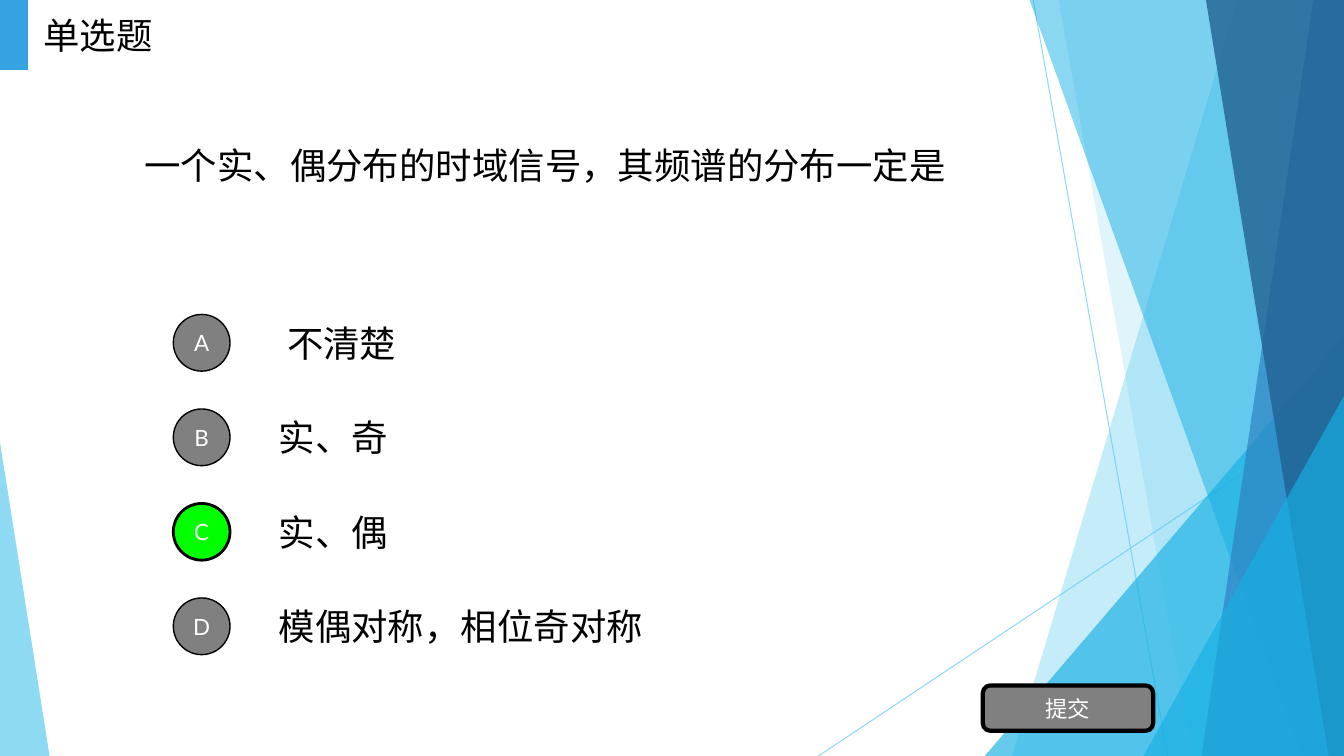
import pptx
import pptx.util
import pptx.dml.color
import pptx.enum.lang
import pptx.enum.shapes
import pptx.enum.text
import pptx.oxml.ns
import lxml.etree

Pt = pptx.util.Pt
RGBColor = pptx.dml.color.RGBColor
SHAPE = pptx.enum.shapes.MSO_SHAPE
ALIGN = pptx.enum.text.PP_ALIGN
qn = pptx.oxml.ns.qn

BLACK = RGBColor(0x00, 0x00, 0x00)
WHITE = RGBColor(0xFF, 0xFF, 0xFF)
GREY = RGBColor(0x80, 0x80, 0x80)
GREEN = RGBColor(0x00, 0xFF, 0x00)
TAG_BLUE = RGBColor(0x36, 0xA3, 0xE1)
SKY = RGBColor(0x5F, 0xCB, 0xEF)
CYAN = RGBColor(0x17, 0xB0, 0xE4)
BLUE = RGBColor(0x2E, 0x83, 0xC3)
NAVY = RGBColor(0x22, 0x62, 0x92)

WIDTH, HEIGHT = 960, 540
QUESTION_TYPE = "单选题"
QUESTION = "一个实、偶分布的时域信号，其频谱的分布一定是"
# letter, answer, left edge of the answer
OPTIONS = [
    ("A", "不清楚", 198),
    ("B", "实、奇", 192),
    ("C", "实、偶", 192),
    ("D", "模偶对称，相位奇对称", 192),
]
CORRECT = "C"
SUBMIT = "提交"

BADGE_LEFT, BADGE_TOP, BADGE_SIZE, OPTION_STEP = 123.8, 224.6, 40.5, 67.5
ANSWER_WIDTH, ANSWER_HEIGHT = 672, 50.6

# x at the top, x at the bottom, colour, opacity; each reaches the right edge
BANDS_BACK = [(884.2, 722.9, SKY, 36), (756.2, 851.8, SKY, 20)]
BANDS_FRONT = [(735.2, 929.7, CYAN, 50), (938.2, 858.2, BLUE, 70), (861.3, 949, NAVY, 80)]
# left, top, width, apex position, colour, opacity; each stands on the bottom edge
TRIANGLE_BACK = (703.4, 240, 256.6, 1, CYAN, 66)
TRIANGLES_FRONT = [(816.7, 282.8, 143.3, 1, CYAN, 66), (0, 316, 35.4, 0, SKY, 70)]
RAYS = [(738, 0, 834, HEIGHT), (WIDTH, 290, 584.6, HEIGHT)]
BAND_TOP = -0.7

presentation = pptx.Presentation()
presentation.slide_width, presentation.slide_height = Pt(WIDTH), Pt(HEIGHT)
slide = presentation.slides.add_slide(presentation.slide_layouts[5])


def set_opacity(fill_owner, percent):
    for colour in fill_owner.iter(qn("a:srgbClr")):
        lxml.etree.SubElement(colour, qn("a:alpha")).set("val", str(percent * 1000))


def paint(shape, colour, outline=0):
    shape.shadow.inherit = False
    shape.fill.solid()
    shape.fill.fore_color.rgb = colour
    if outline:
        shape.line.color.rgb = BLACK
        shape.line.width = Pt(outline)
    else:
        shape.line.fill.background()


def write(shape, text, size=26, colour=BLACK, align=ALIGN.LEFT):
    frame = shape.text_frame
    frame_format = {
        "word_wrap": True,
        "auto_size": pptx.enum.text.MSO_AUTO_SIZE.NONE,
        "vertical_anchor": pptx.enum.text.MSO_ANCHOR.MIDDLE,
    }
    for name, value in frame_format.items():
        setattr(frame, name, value)
    paragraph = frame.paragraphs[0]
    paragraph.alignment = align
    run = paragraph.add_run()
    run.text = text
    font_format = {
        "name": "Lato",
        "size": Pt(size),
        "language_id": pptx.enum.lang.MSO_LANGUAGE_ID.SIMPLIFIED_CHINESE,
    }
    for name, value in font_format.items():
        setattr(run.font, name, value)
    run.font.color.rgb = colour


def add_shape(kind, left, top, width, height, colour, outline=0):
    shape = slide.shapes.add_shape(kind, Pt(left), Pt(top), Pt(width), Pt(height))
    paint(shape, colour, outline)
    return shape


def add_text(text, left, top, width, height):
    write(slide.shapes.add_textbox(Pt(left), Pt(top), Pt(width), Pt(height)), text)


def add_button(kind, text, left, top, width, height, colour, outline):
    button = add_shape(kind, left, top, width, height, colour, outline)
    write(button, text, 16, WHITE, ALIGN.CENTER)


def add_band(top_x, bottom_x, colour, opacity):
    builder = slide.shapes.build_freeform(Pt(top_x), Pt(BAND_TOP))
    corners = [(WIDTH, BAND_TOP), (WIDTH, HEIGHT), (bottom_x, HEIGHT)]
    builder.add_line_segments([(Pt(x), Pt(y)) for x, y in corners], close=True)
    band = builder.convert_to_shape()
    paint(band, colour)
    set_opacity(band.fill._xPr, opacity)


def add_triangle(left, top, width, apex, colour, opacity):
    triangle = add_shape(SHAPE.ISOSCELES_TRIANGLE, left, top, width, HEIGHT - top, colour)
    triangle.adjustments[0] = apex
    set_opacity(triangle.fill._xPr, opacity)


def add_ray(*ends):
    ray = slide.shapes.add_connector(
        pptx.enum.shapes.MSO_CONNECTOR.STRAIGHT, *[Pt(end) for end in ends])
    ray.line.color.rgb = SKY
    ray.line.width = Pt(0.75)
    properties = ray._element.spPr
    set_opacity(properties, 70)
    lxml.etree.SubElement(properties, qn("a:effectLst"))


for ray_ends in RAYS:
    add_ray(*ray_ends)
for band_values in BANDS_BACK:
    add_band(*band_values)
add_triangle(*TRIANGLE_BACK)
for band_values in BANDS_FRONT:
    add_band(*band_values)
for triangle_values in TRIANGLES_FRONT:
    add_triangle(*triangle_values)

question = slide.shapes.title
question_place = {"left": 96, "top": 33.8, "width": 768, "height": 168.5}
for side, length in question_place.items():
    setattr(question, side, Pt(length))
write(question, QUESTION)

for index, (letter, answer, answer_left) in enumerate(OPTIONS):
    badge_top = BADGE_TOP + index * OPTION_STEP
    answer_top = badge_top + (BADGE_SIZE - ANSWER_HEIGHT) / 2
    add_text(answer, answer_left, answer_top, ANSWER_WIDTH, ANSWER_HEIGHT)
    badge_colour, badge_outline = (GREEN, 2) if letter == CORRECT else (GREY, 1)
    add_button(SHAPE.OVAL, letter, BADGE_LEFT, badge_top, BADGE_SIZE, BADGE_SIZE,
               badge_colour, badge_outline)

add_button(SHAPE.ROUNDED_RECTANGLE, SUBMIT, 702, 489.6, 121.7, 32.4, GREY, 3)
add_shape(SHAPE.RECTANGLE, 0, 0, 20, 50, TAG_BLUE)
add_text(QUESTION_TYPE, 24, 0, 100, 50)

presentation.save("out.pptx")
